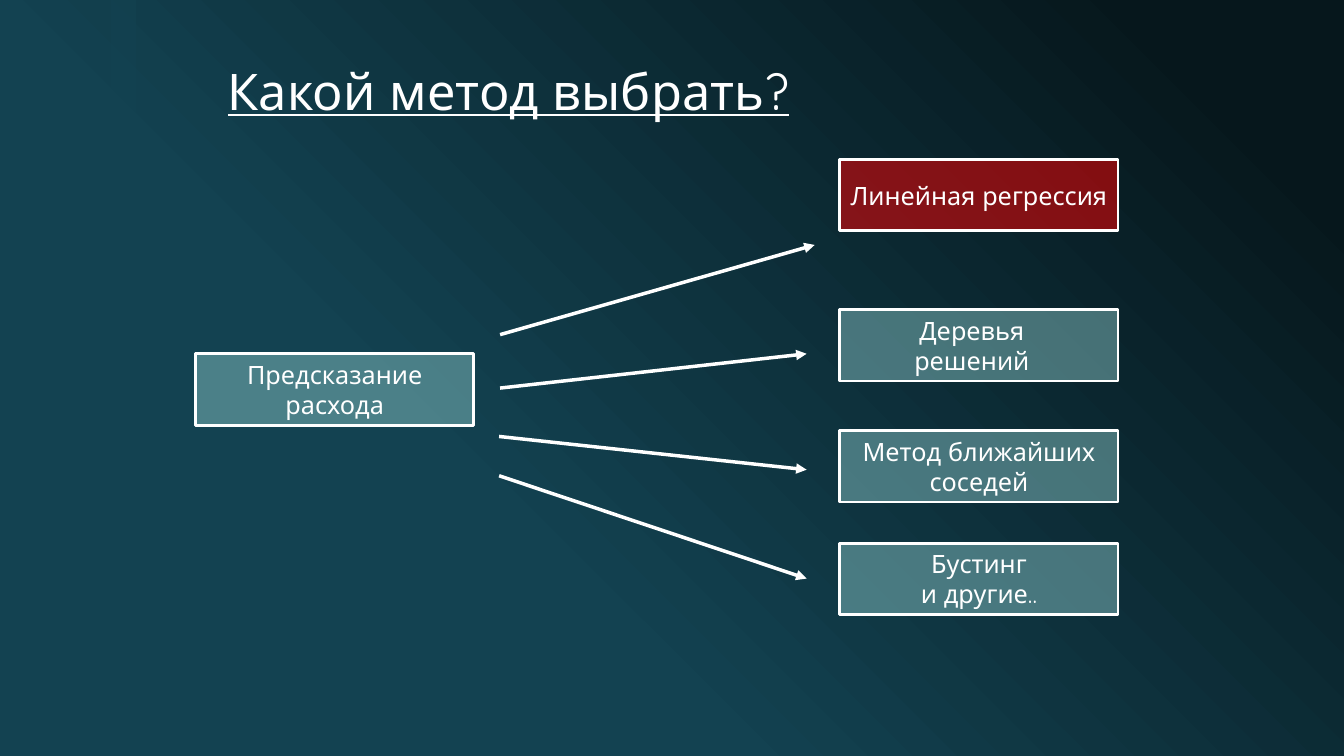
import pptx
import pptx.util
import pptx.dml.color
import pptx.enum.shapes
import pptx.enum.text
import pptx.oxml
import pptx.oxml.ns

PX = 9144  # EMU in one px, 100 px to the inch
THEME = {
    "font": "Quicksand", "title": 36, "text": 18,
    "white": "FFFFFF", "dark": "06171C", "deep": "134251",
    "teal": "83BEC0", "red": "FF0000",
    "border": 2, "arrow": 2.5,
}
NS = pptx.oxml.ns.nsdecls("a")
RGB = pptx.dml.color.RGBColor.from_string
ALIGN = pptx.enum.text.PP_ALIGN
ANCHOR = pptx.enum.text.MSO_ANCHOR
FIT = pptx.enum.text.MSO_AUTO_SIZE


def add_rect(left, top, width, height, color, alpha):
    rect = slide.shapes.add_shape(
        pptx.enum.shapes.MSO_SHAPE.RECTANGLE,
        left * PX, top * PX, width * PX, height * PX)
    rect.shadow.inherit = False
    rect.fill.solid()
    rect.fill.fore_color.rgb = RGB(THEME[color])
    tint = rect._element.spPr.find(".//" + pptx.oxml.ns.qn("a:srgbClr"))
    tint.append(pptx.oxml.parse_xml(f'<a:alpha {NS} val="{alpha * 1000}"/>'))
    rect.line.fill.background()
    return rect


def style(frame, size, align):
    for para in frame.paragraphs:
        para.alignment = align
        for run in para.runs:
            run.font.name = THEME["font"]
            run.font.size = pptx.util.Pt(THEME[size])
            run.font.color.rgb = RGB(THEME["white"])


deck = pptx.Presentation()
deck.slide_width, deck.slide_height = 1333 * PX, 750 * PX
slide = deck.slides.add_slide(deck.slide_layouts[5])

# Background gradient, dark at the top right
fill = slide.background.fill
fill.gradient()
fill.gradient_angle = 225
for stop, place, color in zip(fill.gradient_stops, (0.1, 0.65), ("dark", "deep")):
    stop.position = place
    stop.color.rgb = RGB(THEME[color])

# Side band
add_rect(110, 0, 25, 750, "deep", 60)

# Title
title = slide.shapes.title
title.left, title.top, title.width, title.height = [
    n * PX for n in (216, 42, 1000, 83)]
frame = title.text_frame
frame.text = "Какой метод выбрать?"
frame.auto_size = FIT.NONE
frame.vertical_anchor = ANCHOR.BOTTOM
frame.paragraphs[0].line_spacing = 0.9
style(frame, "title", ALIGN.LEFT)
frame.paragraphs[0].runs[0].font.underline = True

# Task and method boxes: left, top, fill, anchor, right inset, text
boxes = [
    (194, 351, "teal", ANCHOR.MIDDLE, 10, "Предсказание расхода"),
    (833, 158, "red", ANCHOR.MIDDLE, 10, "Линейная регрессия"),
    (833, 307, "teal", ANCHOR.MIDDLE, 24, "Деревья\nрешений"),
    (833, 427, "teal", ANCHOR.MIDDLE, 10, "Метод ближайших соседей"),
    (833, 539, "teal", ANCHOR.TOP, 10, "Бустинг\nи другие.."),
]
for left, top, color, anchor, inset, text in boxes:
    box = add_rect(left, top, 276, 71, color, 50)
    box.line.color.rgb = RGB(THEME["white"])
    box.line.width = pptx.util.Pt(THEME["border"])
    frame = box.text_frame
    frame.text = text
    frame.word_wrap = True
    frame.auto_size = FIT.SHAPE_TO_FIT_TEXT
    frame.vertical_anchor = anchor
    frame.margin_right = inset * PX
    style(frame, "text", ALIGN.CENTER)

# Arrows from the task to each method
arrows = [
    (496, 332, 808, 243),
    (496, 385, 800, 351),
    (495, 433, 800, 466),
    (495, 472, 800, 574),
]
for ends in arrows:
    arrow = slide.shapes.add_connector(
        pptx.enum.shapes.MSO_CONNECTOR.STRAIGHT, *[n * PX for n in ends])
    arrow.line.color.rgb = RGB(THEME["white"])
    arrow.line.width = pptx.util.Pt(THEME["arrow"])
    arrow.line._get_or_add_ln().append(
        pptx.oxml.parse_xml(f'<a:tailEnd {NS} type="triangle"/>'))
    arrow._element.spPr.append(pptx.oxml.parse_xml(f"<a:effectLst {NS}/>"))

deck.save("out.pptx")
